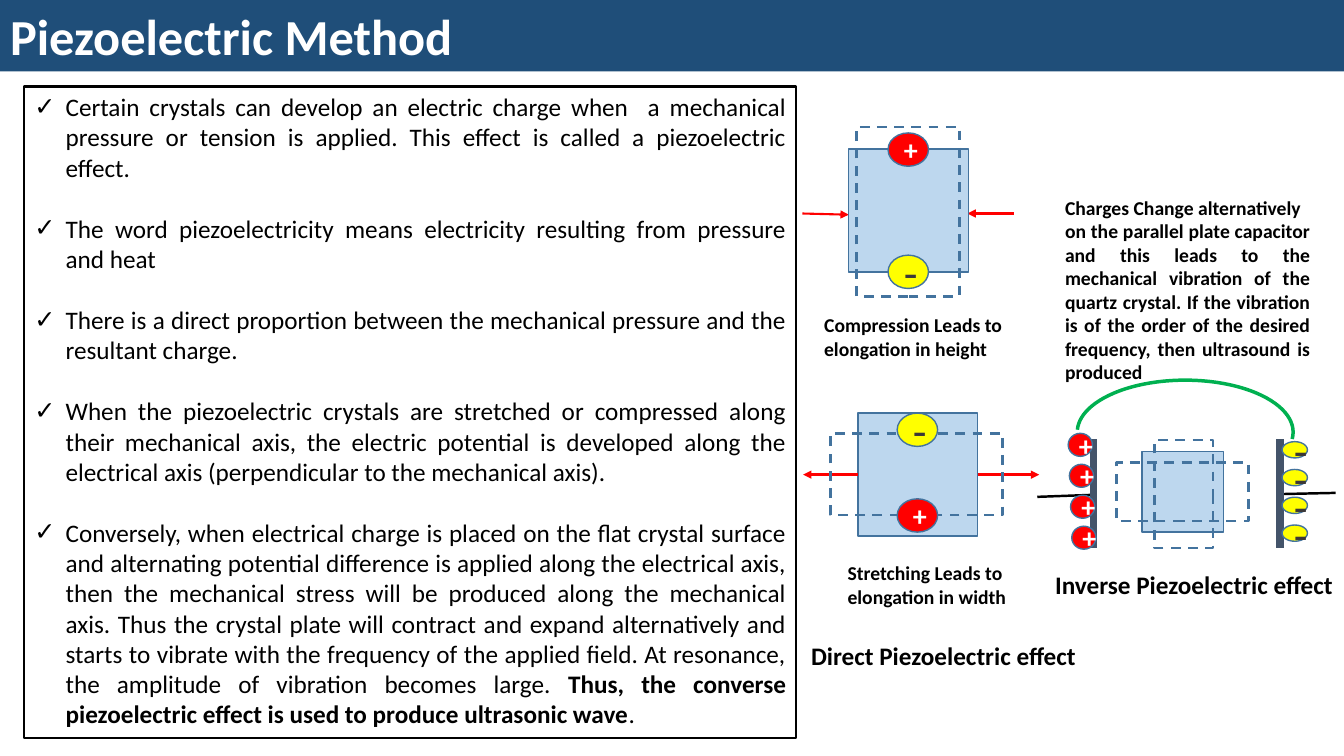
from lxml.etree import SubElement
from pptx import Presentation
from pptx.dml.color import RGBColor
from pptx.enum.dml import MSO_LINE
from pptx.enum.shapes import MSO_CONNECTOR as Connector, MSO_SHAPE as Shape
from pptx.enum.text import MSO_ANCHOR as Anchor, MSO_AUTO_SIZE as AutoSize, PP_ALIGN as Align
from pptx.oxml.ns import qn
from pptx.util import Cm, Pt

FONT = "Calibri"
COLORS = {
    "banner": "1F4E79", "white": "FFFFFF", "black": "000000", "red": "FF0000",
    "yellow": "FFFF00", "minus": "3B3838", "crystal": "BDD7EE",
    "outline": "43739E", "plate": "44546A", "green": "00B050",
}
CRYSTAL_SIZE = (3.02, 3.1)
CHARGE_SIZE = (1.02, 0.84)
BULLETS = [
    "Certain crystals can develop an electric charge when  a mechanical pressure or tension "
    "is applied. This effect is called a piezoelectric effect.",
    "The word piezoelectricity means electricity resulting from pressure and heat",
    "There is a direct proportion between the mechanical pressure and the resultant charge.",
    "When the piezoelectric crystals are stretched or compressed along their mechanical axis, "
    "the electric potential is developed along the electrical axis (perpendicular to the "
    "mechanical axis).",
    "Conversely, when electrical charge is placed on the flat crystal surface and alternating "
    "potential difference is applied along the electrical axis, then the mechanical stress "
    "will be produced along the mechanical axis. Thus the crystal plate will contract and "
    "expand alternatively and starts to vibrate with the frequency of the applied field. At "
    "resonance, the amplitude of vibration becomes large. ",
]
CONCLUSION = "Thus, the converse piezoelectric effect is used to produce ultrasonic wave"
CAPACITOR_NOTE = (
    "Charges Change alternatively\n"
    "on the parallel plate capacitor and this leads to the mechanical vibration of the quartz "
    "crystal. If the vibration is of the order of the desired frequency, then ultrasound is "
    "produced"
)


def color(name):
    return RGBColor.from_string(COLORS[name])


def format_text(text_frame, size, color_name, bold=False, align=Align.LEFT):
    for paragraph in text_frame.paragraphs:
        paragraph.alignment = align
        for run in paragraph.runs:
            run.font.name = FONT
            run.font.size = Pt(size)
            run.font.bold = bold
            run.font.color.rgb = color(color_name)


def place(shape, left, top, width, height):
    shape.left, shape.top = Cm(left), Cm(top)
    shape.width, shape.height = Cm(width), Cm(height)


def set_line(line, color_name, width):
    line.color.rgb = color(color_name)
    line.width = Pt(width)


def add_outline(shapes, kind, box, line_color="outline", width=1.0, fill=None):
    shape = shapes.add_shape(kind, *(Cm(length) for length in box))
    shape.shadow.inherit = False
    set_line(shape.line, line_color, width)
    if fill:
        shape.fill.solid()
        shape.fill.fore_color.rgb = color(fill)
    else:
        shape.fill.background()
    return shape


def add_crystal(shapes, left, top, size=CRYSTAL_SIZE):
    return add_outline(shapes, Shape.RECTANGLE, (left, top, *size), fill="crystal")


def add_deformation(shapes, *box):
    shape = add_outline(shapes, Shape.RECTANGLE, box, width=1.75)
    shape.line.dash_style = MSO_LINE.DASH
    return shape


def add_charge(shapes, sign, left, top, size=CHARGE_SIZE):
    positive = sign == "+"
    shape = add_outline(shapes, Shape.OVAL, (left, top, *size),
                        fill="red" if positive else "yellow")
    text_frame = shape.text_frame
    text_frame.text = sign
    text_frame.vertical_anchor = Anchor.MIDDLE
    format_text(text_frame, 20 if positive else 32, "white" if positive else "minus",
                bold=positive, align=Align.CENTER)


def add_line(shapes, start, end, color_name, width, arrow=False):
    line = shapes.add_connector(Connector.STRAIGHT, *(Cm(length) for length in (*start, *end)))
    set_line(line.line, color_name, width)
    SubElement(line._element.spPr, qn("a:effectLst"))
    if arrow:
        SubElement(line.line._get_or_add_ln(), qn("a:tailEnd"), type="triangle")
    return line


def add_label(shapes, text, box, size=14, wrap=False, align=Align.LEFT):
    text_frame = shapes.add_textbox(*(Cm(length) for length in box)).text_frame
    text_frame.word_wrap = wrap
    text_frame.text = text
    format_text(text_frame, size, "black", bold=True, align=align)


def fill_title(title):
    place(title, 0, 0, 33.87, 1.8)
    title.fill.solid()
    title.fill.fore_color.rgb = color("banner")
    title.text_frame.text = "Piezoelectric Method"
    title.text_frame.auto_size = AutoSize.NONE
    title.text_frame.vertical_anchor = Anchor.TOP
    format_text(title.text_frame, 36, "white", bold=True)


def fill_body(body):
    place(body, 0.61, 2.18, 19.46, 16.41)
    set_line(body.line, "black", 1.5)
    text_frame = body.text_frame
    text_frame.text = "\n".join(BULLETS)
    text_frame.auto_size = AutoSize.NONE
    last = text_frame.paragraphs[-1]
    conclusion, full_stop = last.add_run(), last.add_run()
    conclusion.text, full_stop.text = CONCLUSION, "."
    for index, paragraph in enumerate(text_frame.paragraphs):
        properties = paragraph._p.get_or_add_pPr()
        properties.set("marL", str(Cm(0.79)))
        properties.set("indent", str(Cm(-0.79)))
        SubElement(properties, qn("a:buChar"), char="✓")
        paragraph.space_before = Pt(22 if index else 0)
    format_text(text_frame, 18, "black", align=Align.JUSTIFY)
    conclusion.font.bold = True


def draw_compression(shapes):
    add_line(shapes, (20.22, 5.38), (21.39, 5.41), "red", 1.5, arrow=True)
    add_line(shapes, (25.55, 5.38), (24.38, 5.38), "red", 1.5, arrow=True)
    add_crystal(shapes, 21.39, 3.76)
    add_deformation(shapes, 21.59, 3.2, 2.59, 4.27)
    add_label(shapes, "Compression Leads to\nelongation in height", (20.52, 7.77, 5.13, 1.45))
    add_charge(shapes, "+", 22.38, 3.35)
    add_charge(shapes, "-", 22.38, 6.43)


def draw_stretching(shapes):
    crystal = add_crystal(shapes, 21.62, 10.41)
    for side, start, end in ((3, 24.64, 26.19), (1, 21.62, 20.24)):
        arrow = add_line(shapes, (start, 11.96), (end, 11.96), "red", 1.75, arrow=True)
        arrow.begin_connect(crystal, side)
    add_deformation(shapes, 20.93, 10.92, 4.34, 2.06)
    add_label(shapes, "Stretching Leads to\nelongation in width", (21.11, 14.02, 4.55, 1.45))
    add_charge(shapes, "-", 22.61, 10.41)
    add_charge(shapes, "+", 22.61, 12.57)


def draw_inverse_effect(shapes):
    # Wires and capacitor plates
    add_line(shapes, (26.14, 12.52), (27.51, 12.47), "black", 1.75)
    add_line(shapes, (32.28, 12.45), (33.66, 12.42), "black", 1.75)
    for x in (27.56, 32.26):
        add_line(shapes, (x, 11.07), (x, 13.82), "plate", 5.25)

    # Vibrating crystal
    add_crystal(shapes, 28.78, 11.38, (2.06, 2.03))
    add_deformation(shapes, 28.14, 11.66, 3.33, 1.47)
    add_deformation(shapes, 28.47, 11.71, 2.72, 1.47).rotation = 270

    # Charges on the plates
    for index in range(4):
        add_charge(shapes, "+", 26.92 + 0.03 * index, 10.92 + 0.78 * index, (0.61, 0.58))
    for index in range(4):
        add_charge(shapes, "-", 32.31, 11.13 + 0.7 * index, (0.64, 0.41))

    # Alternating charge between the plates
    arc = add_outline(shapes, Shape.ARC, (27.15, 9.58, 5.44, 2.62), "green", 2.5)
    arc.adjustments[0], arc.adjustments[1] = 108.77, 2.21
    add_label(shapes, CAPACITOR_NOTE, (26.59, 4.8, 6.68, 5.05), wrap=True, align=Align.JUSTIFY)


def main():
    presentation = Presentation()
    presentation.slide_width, presentation.slide_height = Cm(33.87), Cm(19.05)
    slide = presentation.slides.add_slide(presentation.slide_layouts[1])
    shapes = slide.shapes

    # Title and list
    fill_title(shapes.title)
    fill_body(slide.placeholders[1])

    # Diagrams, each in its own group
    for draw in (draw_compression, draw_stretching, draw_inverse_effect):
        draw(shapes.add_group_shape().shapes)

    # Captions
    add_label(shapes, "Direct Piezoelectric effect", (20.19, 16, 7.26, 1.02), size=18)
    add_label(shapes, "Inverse Piezoelectric effect", (26.34, 14.22, 7.57, 1.02), size=18)

    presentation.save("out.pptx")


if __name__ == "__main__":
    main()
